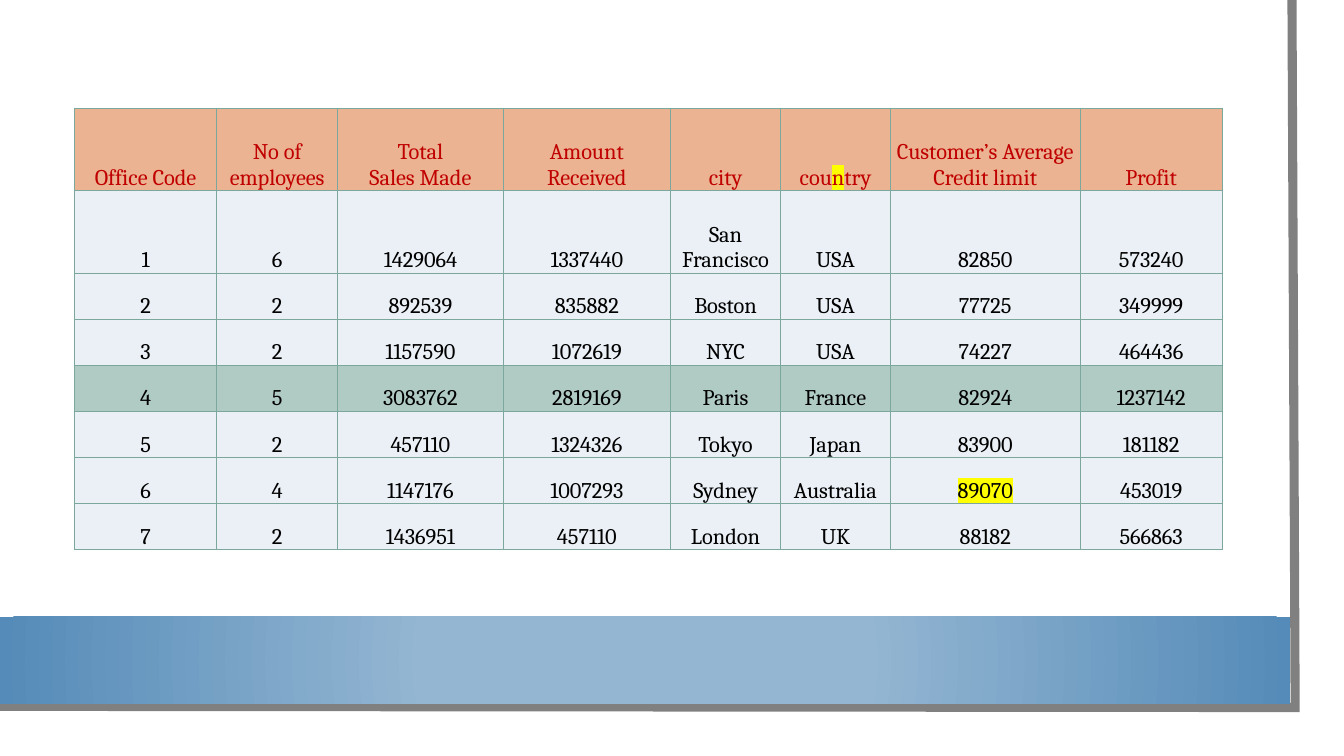
import pptx
import pptx.dml.color
import pptx.enum.shapes
import pptx.enum.text
import pptx.oxml
import pptx.oxml.ns
import pptx.util
from lxml import etree

Cm = pptx.util.Cm
Pt = pptx.util.Pt
qn = pptx.oxml.ns.qn

# Text between bars is highlighted; a line break starts a new paragraph.
HEADER = ["Office Code", "No of employees", "Total\nSales Made", "Amount\nReceived",
          "city", "cou|n|try", "Customer’s Average\nCredit limit", "Profit"]
OFFICES = [
    ["1", "6", "1429064", "1337440", "San Francisco", "USA", "82850", "573240"],
    ["2", "2", "892539", "835882", "Boston", "USA", "77725", "349999"],
    ["3", "2", "1157590", "1072619", "NYC", "USA", "74227", "464436"],
    ["4", "5", "3083762", "2819169", "Paris", "France", "82924", "1237142"],
    ["5", "2", "457110", "1324326", "Tokyo", "Japan", "83900", "181182"],
    ["6", "4", "1147176", "1007293", "Sydney", "Australia", "|89070|", "453019"],
    ["7", "2", "1436951", "457110", "London", "UK", "88182", "566863"],
]
BEST_OFFICE = "4"
COLUMN_WIDTHS = [3.58, 3.05, 4.17, 4.22, 2.77, 2.77, 4.78, 3.58]
TALL_ROW, LOW_ROW = 2.08, 1.16
ROW_HEIGHTS = [TALL_ROW] * 2 + [LOW_ROW] * (len(OFFICES) - 1)
FRAME_POINTS = [(32.56, 0), (32.64, 17.83), (-0.08, 17.8)]
COLORS = {
    "frame": "808080", "band centre": "94B6D2", "band edge": "558BB8",
    "header": "EBB391", "row": "EAF0F6", "best row": "B0CAC4", "border": "7BA79D",
    "header text": "C00000", "text": "000000", "highlight": "FFFF00",
}


def rgb(name):
    return pptx.dml.color.RGBColor.from_string(COLORS[name])


def add_color(parent, name):
    etree.SubElement(parent, qn("a:srgbClr"), val=COLORS[name])


def add_frame(slide):
    points = [(Cm(x), Cm(y)) for x, y in FRAME_POINTS]
    builder = slide.shapes.build_freeform(*points[0])
    builder.add_line_segments(points[1:], close=False)
    frame = builder.convert_to_shape()
    frame.shadow.inherit = False
    frame.fill.background()
    frame.line.color.rgb = rgb("frame")
    frame.line.width = Pt(6.5)
    etree.SubElement(frame.line._get_or_add_ln(), qn("a:miter"), lim="800000")


def add_band(slide):
    """Add the bottom band, shaded from its centre outwards."""
    band = slide.shapes.add_shape(pptx.enum.shapes.MSO_SHAPE.RECTANGLE,
                                  0, Cm(15.54), Cm(32.51), Cm(2.2))
    band.shadow.inherit = False
    band.line.fill.background()
    band.fill.gradient()
    shades = [(0.34, "band centre"), (1, "band edge")]
    for stop, (position, name) in zip(band.fill.gradient_stops, shades):
        stop.position = position
        stop.color.rgb = rgb(name)
    gradient = band._element.spPr.find(qn("a:gradFill"))
    gradient.remove(gradient.find(qn("a:lin")))
    circle = etree.SubElement(gradient, qn("a:path"), path="circle")
    etree.SubElement(circle, qn("a:fillToRect"),
                     {side: "50000" for side in "ltrb"})


def add_borders(cell):
    properties = cell._tc.get_or_add_tcPr()
    for side in ("a:lnL", "a:lnR", "a:lnT", "a:lnB"):
        line = etree.SubElement(properties, qn(side), w=str(Pt(1)))
        add_color(etree.SubElement(line, qn("a:solidFill")), "border")


def add_text(paragraph, text, color):
    paragraph.alignment = pptx.enum.text.PP_ALIGN.CENTER
    for index, part in enumerate(text.split("|")):
        if not part:
            continue
        run = paragraph.add_run()
        run.text = part
        run.font.size = Pt(16)
        run.font.color.rgb = rgb(color)
        if index % 2:
            properties = run._r.get_or_add_rPr()
            add_color(etree.SubElement(properties, qn("a:highlight")), "highlight")
        run.font.name = "Cambria"


def fill_cell(cell, text, fill, color):
    add_borders(cell)
    cell.fill.solid()
    cell.fill.fore_color.rgb = rgb(fill)
    cell.vertical_anchor = pptx.enum.text.MSO_ANCHOR.BOTTOM
    cell.margin_left = cell.margin_right = cell.margin_top = Cm(0.02)
    cell.margin_bottom = 0
    frame = cell.text_frame
    for index, line in enumerate(text.split("\n")):
        paragraph = frame.add_paragraph() if index else frame.paragraphs[0]
        add_text(paragraph, line, color)


def add_office_table(slide):
    rows = [HEADER] + OFFICES
    table = slide.shapes.add_table(len(rows), len(HEADER), Cm(1.88), Cm(2.73),
                                   Cm(sum(COLUMN_WIDTHS)), Cm(sum(ROW_HEIGHTS))).table
    table.horz_banding = table.first_row = False
    for column, width in zip(table.columns, COLUMN_WIDTHS):
        column.width = Cm(width)
    for row, height, texts in zip(table.rows, ROW_HEIGHTS, rows):
        row.height = Cm(height)
        if texts is HEADER:
            fill, color = "header", "header text"
        else:
            fill, color = "best row" if texts[0] == BEST_OFFICE else "row", "text"
        for cell, text in zip(row.cells, texts):
            fill_cell(cell, text, fill, color)


def main():
    presentation = pptx.Presentation()
    presentation.slide_width = Cm(33.87)
    presentation.slide_height = Cm(19.05)
    slide = presentation.slides.add_slide(presentation.slide_layouts[6])
    add_frame(slide)
    add_band(slide)
    add_office_table(slide)
    presentation.save("out.pptx")


if __name__ == "__main__":
    main()
